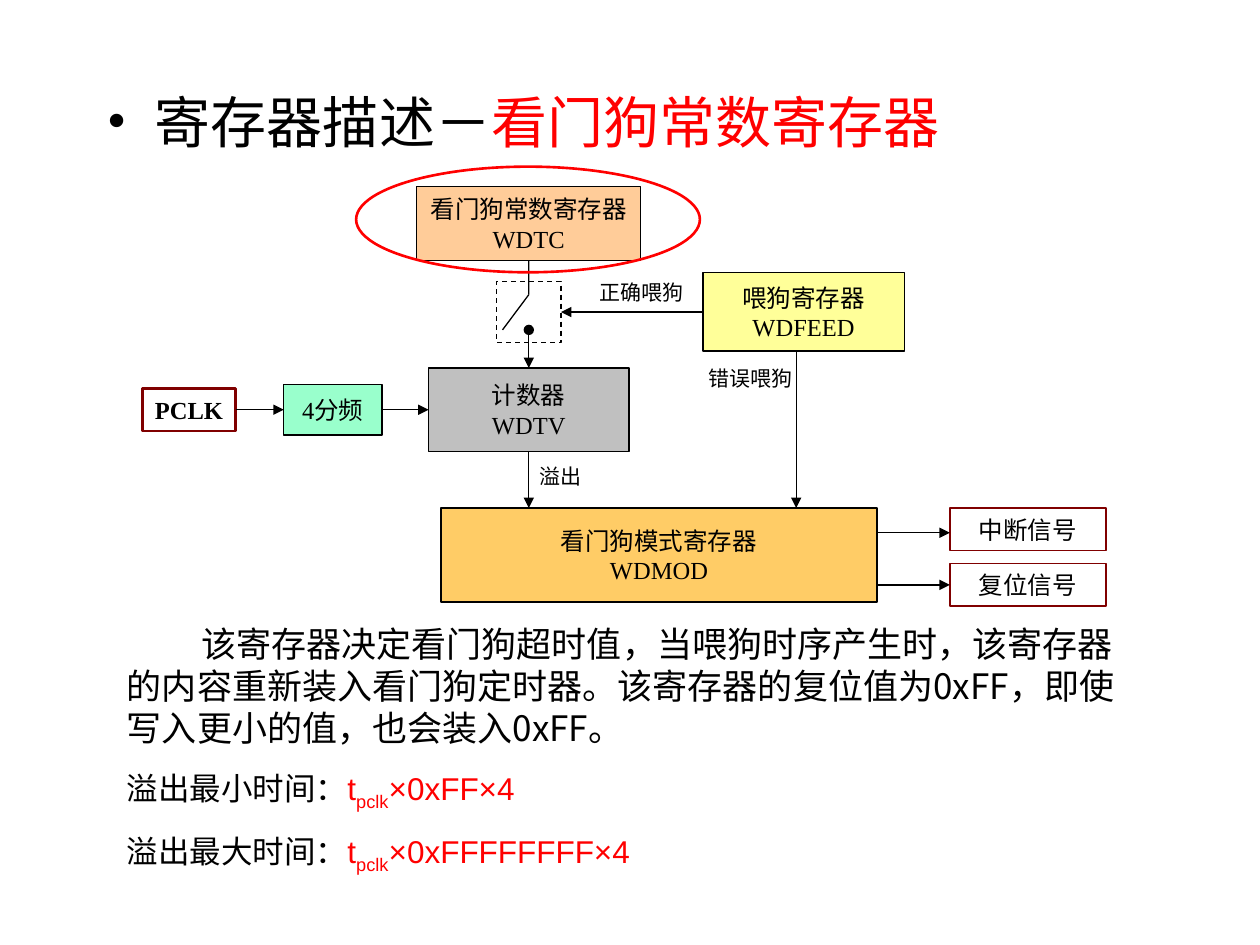
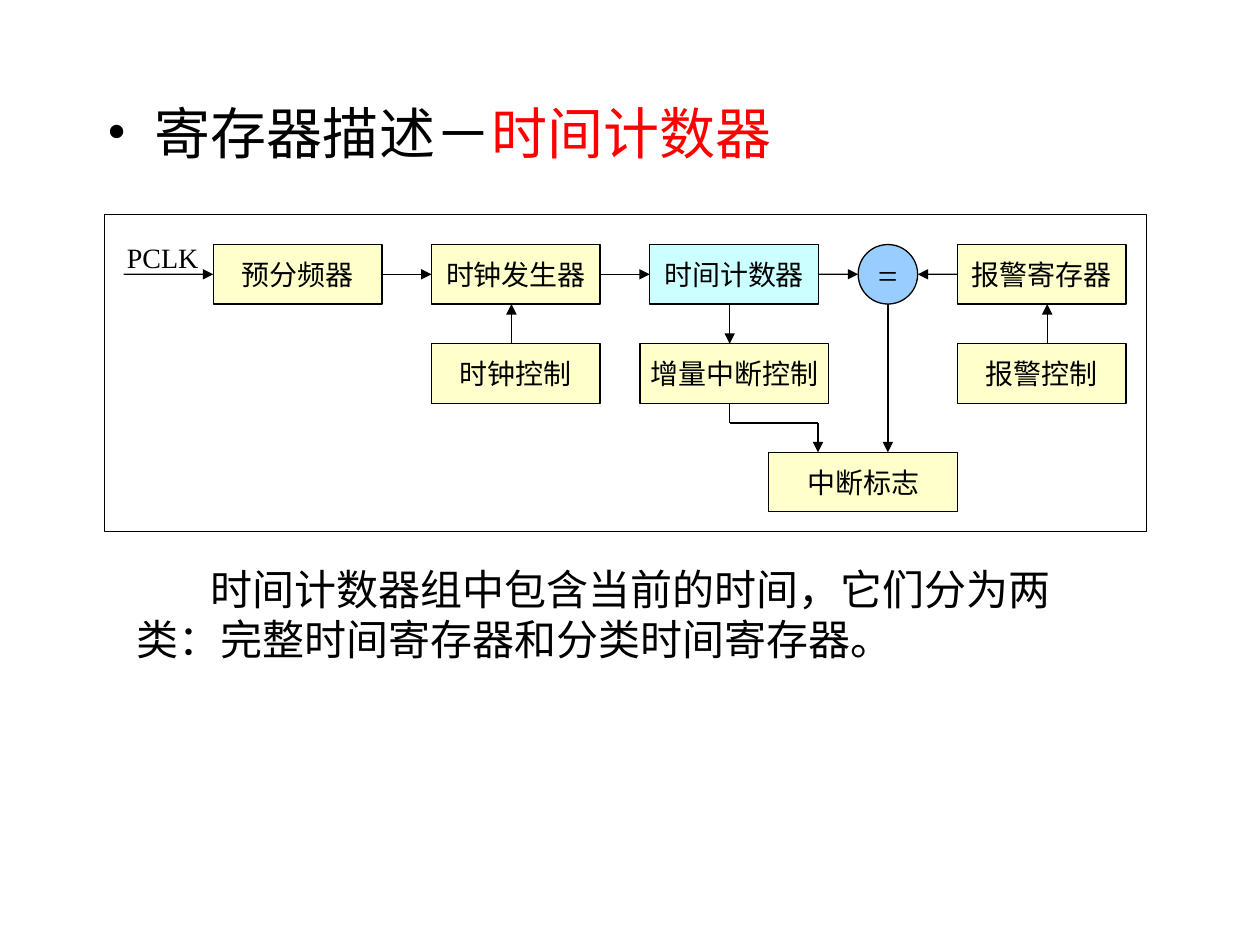
from lxml import etree
from pptx import Presentation
from pptx import util as u
from pptx.dml.color import RGBColor
from pptx.enum import dml, shapes, text
from pptx.oxml.ns import qn

COLORS = {
    "ink": "000000", "accent": "FF0000", "signal": "800000",
    "constant": "FFCC99", "feed": "FFFF99", "divider": "99FFCC",
    "counter": "C0C0C0", "mode": "FFCC66",
    "block": "FFFFCC", "time": "CCFFFF", "compare": "99CCFF",
}
SERIF, SANS, CJK, CJK_BODY = ("Times New Roman", "Arial",
                              "Noto Sans CJK SC", "Noto Sans CJK JP")
RECT, OVAL = shapes.MSO_SHAPE.RECTANGLE, shapes.MSO_SHAPE.OVAL
TOP, LEFT, BOTTOM, RIGHT = range(4)
FIRST_LINE = 1.5


def color(name):
    return RGBColor.from_string(COLORS[name])


def add_run(paragraph, words, size, font=SERIF, ink="ink", bold=False,
            east_asian=CJK, subscript=False):
    run = paragraph.add_run()
    run.text = words
    run.font.size = u.Pt(size)
    run.font.name = font
    run.font.bold = bold
    run.font.color.rgb = color(ink)
    properties = run._r.get_or_add_rPr()
    properties.find(qn("a:latin")).addnext(
        etree.Element(qn("a:ea"), typeface=east_asian))
    if subscript:
        properties.set("baseline", "-25000")


def set_indent(paragraph, first_line, margin=0):
    properties = paragraph._p.get_or_add_pPr()
    properties.set("marL", str(u.Cm(margin)))
    properties.set("indent", str(u.Cm(first_line)))
    return properties


def add_title(slide, top, subject):
    title = slide.shapes.title
    title.left, title.top = u.Cm(1.9), u.Cm(top)
    title.width, title.height = u.Cm(20.8), u.Cm(1.7)
    frame = title.text_frame
    frame.auto_size = text.MSO_AUTO_SIZE.NONE
    frame.vertical_anchor = text.MSO_ANCHOR.TOP
    paragraph = frame.paragraphs[0]
    paragraph.alignment = text.PP_ALIGN.LEFT
    properties = set_indent(paragraph, -0.97, 0.97)
    etree.SubElement(properties, qn("a:buFont"), typeface=SERIF)
    etree.SubElement(properties, qn("a:buChar"), char="•")
    add_run(paragraph, "寄存器描述－", 32)
    add_run(paragraph, subject, 32, ink="accent")


def add_box(slide, place, lines=(), fill=None, size=14, line="ink", weight=0.75,
            kind=RECT, bold=False):
    shape = slide.shapes.add_shape(kind, *map(u.Cm, place))
    shape.shadow.inherit = False
    if fill:
        shape.fill.solid()
        shape.fill.fore_color.rgb = color(fill)
    else:
        shape.fill.background()
    shape.line.color.rgb = color(line)
    shape.line.width = u.Pt(weight)
    frame = shape.text_frame
    frame.word_wrap = False
    frame.vertical_anchor = text.MSO_ANCHOR.MIDDLE
    for index, words in enumerate(lines):
        paragraph = frame.add_paragraph() if index else frame.paragraphs[0]
        paragraph.alignment = text.PP_ALIGN.CENTER
        add_run(paragraph, words, size, bold=bold)
    return shape


def add_text_box(slide, place, wrap=True):
    frame = slide.shapes.add_textbox(*map(u.Cm, place)).text_frame
    frame.word_wrap = wrap
    return frame


def add_label(slide, place, words, size=12):
    frame = add_text_box(slide, place, wrap=False)
    add_run(frame.paragraphs[0], words, size)


def add_line(slide, start, end, head=None, tail="triangle",
             begin=None, finish=None):
    """Draw a line; begin and finish are (shape, side) pairs to join."""
    connector = slide.shapes.add_connector(
        shapes.MSO_CONNECTOR.STRAIGHT, *map(u.Cm, (*start, *end)))
    if begin:
        connector.begin_connect(*begin)
    if finish:
        connector.end_connect(*finish)
    connector.line.color.rgb = color("ink")
    connector.line.width = u.Pt(0.75)
    outline = connector.line._get_or_add_ln()
    for tag, arrow in (("a:headEnd", head), ("a:tailEnd", tail)):
        if arrow:
            etree.SubElement(outline, qn(tag), type=arrow)
    etree.SubElement(connector._element.spPr, qn("a:effectLst"))


def build_constant_slide(slide):
    add_title(slide, 1.63, "看门狗常数寄存器")

    # Registers and signals
    constant = add_box(slide, (8.4, 3.76, 4.52, 1.5),
                       ["看门狗常数寄存器", "WDTC"], "constant")
    feed = add_box(slide, (14.17, 5.5, 4.06, 1.58),
                   ["喂狗寄存器", "WDFEED"], "feed")
    clock = add_box(slide, (2.87, 7.83, 1.88, 0.86), ["PCLK"],
                    line="signal", weight=1.5, bold=True)
    divider = add_box(slide, (5.72, 7.75, 1.98, 1.02), ["4分频"], "divider")
    counter = add_box(slide, (8.64, 7.42, 4.04, 1.68),
                      ["计数器", "WDTV"], "counter")
    add_box(slide, (8.89, 10.24, 8.79, 1.9),
            ["看门狗模式寄存器", "WDMOD"], "mode")
    interrupt, reset = [
        add_box(slide, (19.15, top, 3.15, 0.86), [words], line="signal", weight=1)
        for top, words in ((10.24, "中断信号"), (11.36, "复位信号"))]

    # Switch between constant register and counter
    switch = add_box(slide, (10.01, 5.67, 1.3, 1.24))
    switch.line.dash_style = dml.MSO_LINE.DASH
    add_line(slide, (10.66, 5.26), (10.66, 5.94), tail=None,
             begin=(constant, BOTTOM))
    add_line(slide, (10.66, 5.94), (10.13, 6.65), tail=None)
    add_line(slide, (10.66, 6.65), (10.66, 7.42), head="oval",
             finish=(counter, TOP))

    # Signal flow
    add_line(slide, (14.17, 6.29), (11.31, 6.29),
             begin=(feed, LEFT), finish=(switch, RIGHT))
    add_line(slide, (4.75, 8.26), (5.72, 8.26),
             begin=(clock, RIGHT), finish=(divider, LEFT))
    add_line(slide, (7.7, 8.26), (8.64, 8.26),
             begin=(divider, RIGHT), finish=(counter, LEFT))
    add_line(slide, (10.66, 9.1), (10.66, 10.24), begin=(counter, BOTTOM))
    add_line(slide, (16.05, 7.08), (16.05, 10.24))
    add_line(slide, (17.68, 10.74), (19.15, 10.74))
    add_line(slide, (17.68, 11.79), (19.15, 11.79), finish=(reset, LEFT))
    add_label(slide, (11.84, 5.51, 2.4, 0.76), "正确喂狗")
    add_label(slide, (14.04, 7.24, 2.4, 0.76), "错误喂狗")
    add_label(slide, (10.62, 9.22, 1.5, 0.76), "溢出")
    add_box(slide, (7.18, 3.36, 6.93, 2.13), line="accent", weight=1.5, kind=OVAL)

    # Explanation and overflow times
    frame = add_text_box(slide, (2.31, 12.42, 20.52, 5.34))
    paragraph = frame.paragraphs[0]
    set_indent(paragraph, FIRST_LINE)
    add_run(paragraph, "该寄存器决定看门狗超时值，当喂狗时序产生时，该寄存器的内容重新装入"
            "看门狗定时器。该寄存器的复位值为0xFF，即使写入更小的值，也会装入0xFF。",
            20, CJK_BODY, east_asian=CJK_BODY)
    for caption, factor in (("溢出最小时间：", "×0xFF×4"),
                            ("溢出最大时间：", "×0xFFFFFFFF×4")):
        paragraph = frame.add_paragraph()
        paragraph.space_before = u.Pt(11.6)
        add_run(paragraph, caption, 18, CJK)
        add_run(paragraph, "t", 18, SANS, "accent")
        add_run(paragraph, "pclk", 18, SANS, "accent", subscript=True)
        add_run(paragraph, factor, 18, SANS, "accent")


def build_time_slide(slide):
    add_title(slide, 1.85, "时间计数器")
    add_box(slide, (2.11, 4.32, 21, 6.4))

    # Blocks on a grid
    width, wide, height = 3.4, 3.81, 1.2
    rows = (4.93, 6.93, 9.12)
    columns = [4.3 + 4.4 * index for index in range(3)]
    alarm_left = 19.3

    def add_block(left, row, words, fill="block", block_width=width):
        return add_box(slide, (left, rows[row], block_width, height),
                       [words], fill, size=16)

    prescaler = add_block(columns[0], 0, "预分频器")
    generator = add_block(columns[1], 0, "时钟发生器")
    time_counter = add_block(columns[2], 0, "时间计数器", "time")
    alarm = add_block(alarm_left, 0, "报警寄存器")
    add_block(columns[1], 1, "时钟控制")
    add_block(12.9, 1, "增量中断控制", block_width=wide)
    add_block(alarm_left, 1, "报警控制")
    add_block(15.5, 2, "中断标志", block_width=wide)
    add_box(slide, (17.3, rows[0], height, height), ["="], "compare",
            size=20, kind=OVAL)

    # Horizontal flow
    middle = rows[0] + height / 2
    add_line(slide, (2.49, middle), (columns[0], middle),
             finish=(prescaler, LEFT))
    for source, target in ((prescaler, generator), (generator, time_counter)):
        add_line(slide, (0, 0), (0, 0),
                 begin=(source, RIGHT), finish=(target, LEFT))
    add_line(slide, (16.5, middle), (17.3, middle), begin=(time_counter, RIGHT))
    add_line(slide, (alarm_left, middle), (18.5, middle), begin=(alarm, LEFT))
    add_label(slide, (2.31, 4.72, 2, 0.94), "PCLK", 16)

    # Vertical flow
    upper, lower = rows[0] + height, rows[1]
    for x, start, end in ((10.31, lower, upper), (14.71, upper, lower),
                          (21.11, lower, upper), (17.9, upper, rows[2])):
        add_line(slide, (x, start), (x, end))
    bend = 8.53
    corners = [(14.71, lower + height), (14.71, bend), (16.49, bend),
               (16.49, rows[2])]
    for start, end in zip(corners, corners[1:]):
        add_line(slide, start, end,
                 tail="triangle" if end == corners[-1] else None)

    # Explanation
    paragraph = add_text_box(slide, (2.5, 11.23, 19.5, 2.29)).paragraphs[0]
    set_indent(paragraph, FIRST_LINE)
    add_run(paragraph, "时间计数器组中包含当前的时间，它们分为两类：完整时间寄存器和"
            "分类时间寄存器。", 24, CJK_BODY, east_asian=CJK_BODY)


def main():
    presentation = Presentation()
    presentation.slide_width, presentation.slide_height = u.Cm(25.4), u.Cm(19.05)
    title_only = presentation.slide_layouts[5]
    for build in (build_constant_slide, build_time_slide):
        build(presentation.slides.add_slide(title_only))
    presentation.save("out.pptx")


if __name__ == "__main__":
    main()
